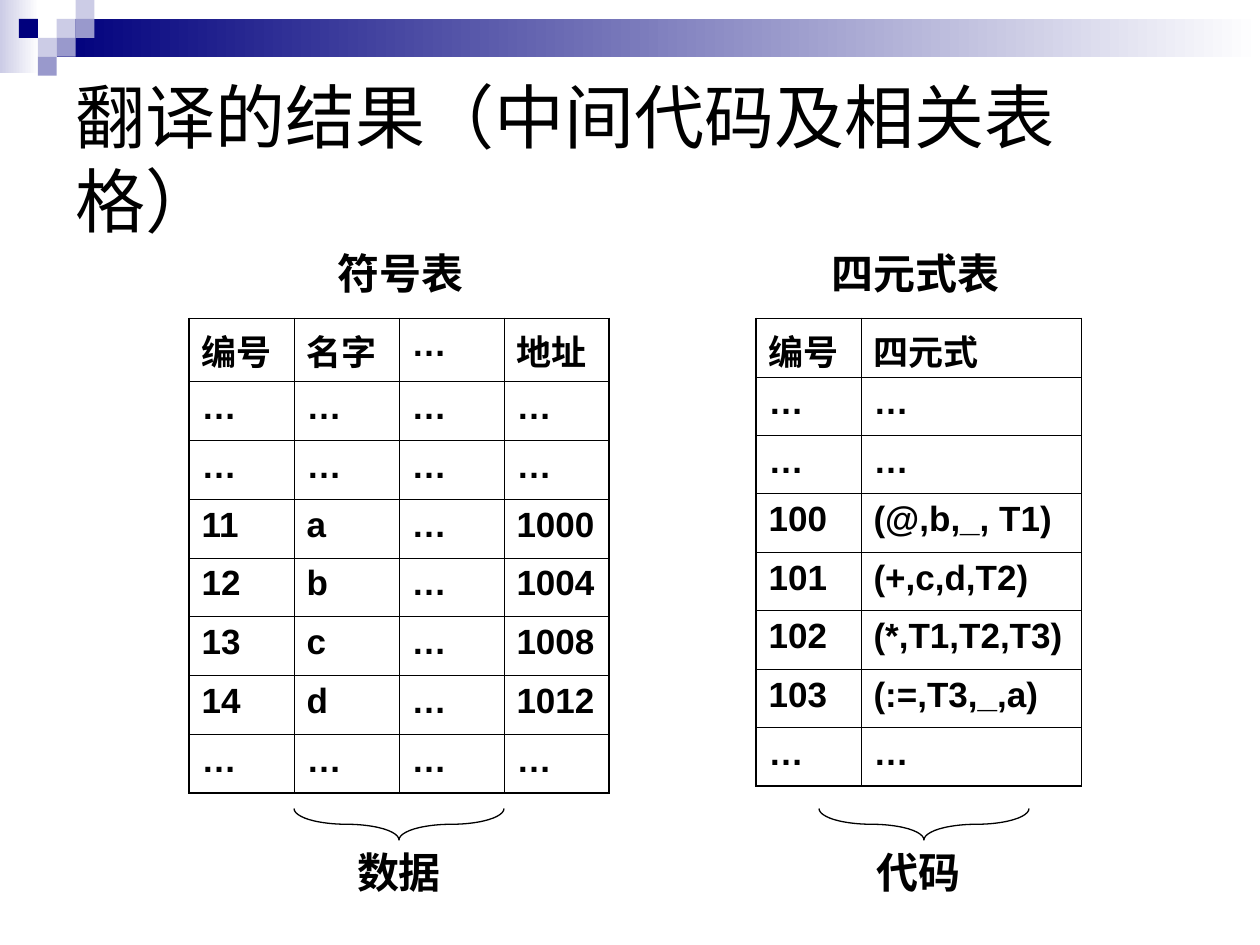
from dataclasses import dataclass

from lxml.etree import SubElement
from pptx import Presentation
from pptx.dml.color import RGBColor as RGB
from pptx.enum.shapes import MSO_SHAPE as SHAPE
from pptx.enum.text import MSO_ANCHOR as ANCHOR, PP_ALIGN as ALIGN
from pptx.oxml.ns import qn
from pptx.util import Pt


@dataclass(frozen=True)
class Theme:
    font: str = "Arial"
    ink: RGB = RGB(0, 0, 0)
    white: RGB = RGB(0xFF, 0xFF, 0xFF)
    navy: RGB = RGB(0, 0, 0x7D)
    violet: RGB = RGB(0x99, 0x99, 0xCC)
    lavender: RGB = RGB(0xCC, 0xCC, 0xE6)
    title: int = 40
    caption: int = 24
    cell: int = 20
    inner_line: float = 0.45
    outer_line: float = 1.08


theme = Theme()
deck = Presentation()
deck.slide_width, deck.slide_height = Pt(720), Pt(540)
slide = deck.slides.add_slide(deck.slide_layouts[6])
shapes = slide.shapes


def write(frame, text, size, bold=True, align=ALIGN.LEFT):
    paragraph = frame.paragraphs[0]
    paragraph.text = text
    paragraph.alignment = align
    font = paragraph.font
    font.name, font.size, font.bold = theme.font, Pt(size), bold
    font.color.rgb = theme.ink
    return paragraph


def add_block(left, top, width, height):
    block = shapes.add_shape(SHAPE.RECTANGLE, Pt(left), Pt(top), Pt(width), Pt(height))
    block.shadow.inherit = False
    block.line.fill.background()
    return block.fill


for box, color in (((0, 0, 22.3, 41.8), theme.lavender),
                   ((32.4, 10.8, 687.6, 21.6), theme.navy)):
    fade = add_block(*box)
    fade.gradient()
    fade.gradient_angle = 180
    for stop, stop_color in zip(fade.gradient_stops, (theme.white, color)):
        stop.color.rgb = stop_color

unit = 10.8
for column, row, color in (
    (3, 1, theme.lavender), (4, 0, theme.lavender), (4, 1, theme.violet),
    (2, 2, theme.lavender), (1, 1, theme.navy), (3, 2, theme.violet),
    (2, 3, theme.violet),
):
    tile = add_block(column * unit, row * unit, unit, unit)
    tile.solid()
    tile.fore_color.rgb = color

heading = shapes.add_textbox(Pt(36), Pt(36), Pt(648), Pt(108)).text_frame
heading.word_wrap = True
heading.vertical_anchor = ANCHOR.MIDDLE
write(heading, "翻译的结果（中间代码及相关表格）", theme.title, bold=False)

symbol_rows = [
    ("编号", "名字", "…", "地址"),
    ("…",) * 4,
    ("…",) * 4,
    ("11", "a", "…", "1000"),
    ("12", "b", "…", "1004"),
    ("13", "c", "…", "1008"),
    ("14", "d", "…", "1012"),
    ("…",) * 4,
]
quad_rows = [
    ("编号", "四元式"),
    ("…",) * 2,
    ("…",) * 2,
    ("100", "(@,b,_, T1)"),
    ("101", "(+,c,d,T2)"),
    ("102", "(*,T1,T2,T3)"),
    ("103", "(:=,T3,_,a)"),
    ("…",) * 2,
]

for rows, left, widths, header_height, row_height in (
    (symbol_rows, 108, (60,) * 4, 36, 33.6),
    (quad_rows, 432, (60, 126), 33.4, 33.4),
):
    heights = [header_height] + [row_height] * (len(rows) - 1)
    grid = shapes.add_table(len(rows), len(widths), Pt(left), Pt(182),
                            Pt(sum(widths)), Pt(sum(heights))).table
    grid.first_row = grid.horz_banding = False
    for column, width in zip(grid.columns, widths):
        column.width = Pt(width)
    for r, entries in enumerate(rows):
        grid.rows[r].height = Pt(heights[r])
        for c, entry in enumerate(entries):
            cell = grid.cell(r, c)
            write(cell.text_frame, entry, theme.cell).space_before = Pt(5)
            properties = cell._tc.get_or_add_tcPr()
            for side, is_outer in (("L", c == 0), ("R", c == len(widths) - 1),
                                   ("T", r == 0), ("B", r == len(rows) - 1)):
                weight = theme.outer_line if is_outer else theme.inner_line
                border = SubElement(properties, qn(f"a:ln{side}"), w=str(Pt(weight)))
                paint = SubElement(border, qn("a:solidFill"))
                SubElement(paint, qn("a:srgbClr"), val=str(theme.ink))
            cell.fill.background()

for text, left, top, width, align in (
    ("符号表", 186, 138, 104, ALIGN.LEFT),
    ("四元式表", 468, 138, 114, ALIGN.LEFT),
    ("数据", 180, 480, 96, ALIGN.CENTER),
    ("代码", 468, 480, 114, ALIGN.CENTER),
):
    caption = shapes.add_textbox(Pt(left), Pt(top), Pt(width), Pt(36)).text_frame
    caption.word_wrap = True
    write(caption, text, theme.caption, align=align)

brace_depth, brace_span = 18, 120
for center in (228, 528):
    brace = shapes.add_shape(SHAPE.LEFT_BRACE, Pt(center - brace_depth / 2),
                             Pt(471 - brace_span / 2), Pt(brace_depth), Pt(brace_span))
    brace.rotation = 270
    brace.adjustments[0] = brace_span / brace_depth / 4
    brace.shadow.inherit = False
    brace.fill.background()
    brace.line.color.rgb = theme.ink
    brace.line.width = Pt(0.75)

deck.save("out.pptx")
